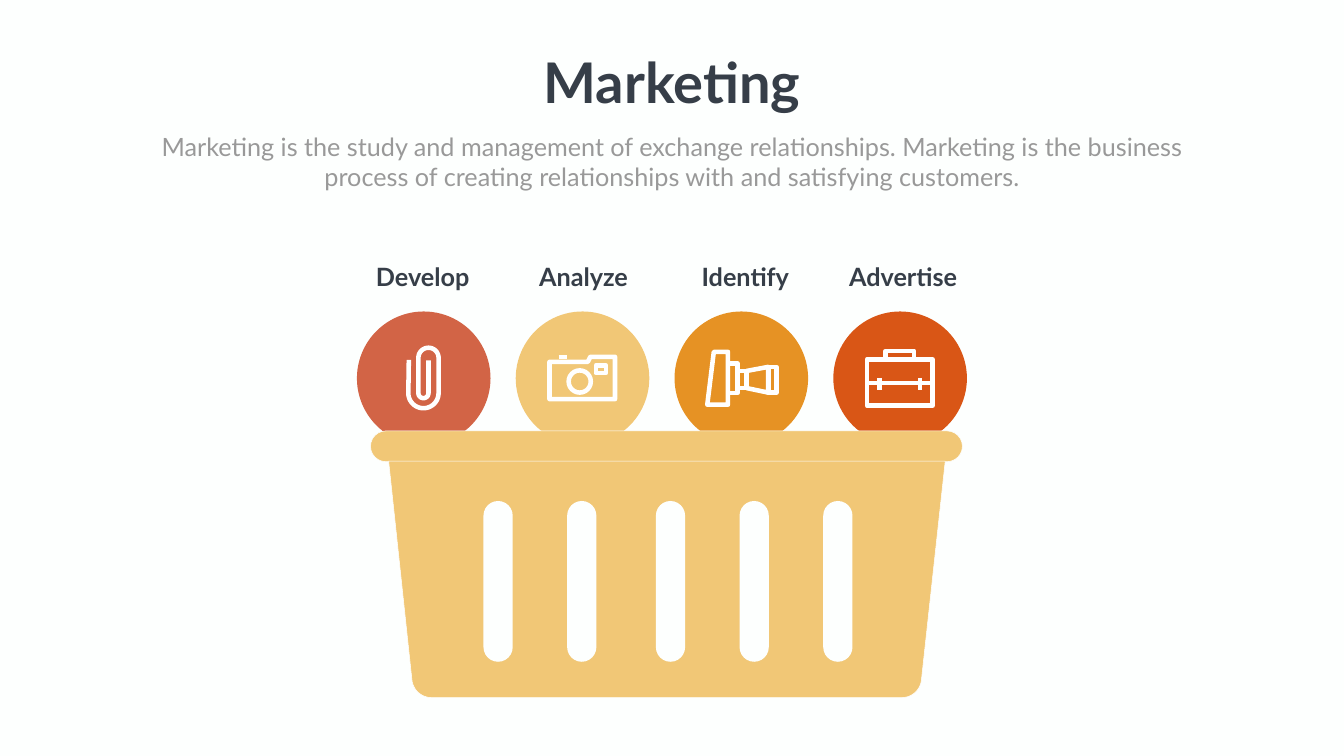
import math
from pptx import Presentation, util as u
from pptx.dml.color import RGBColor
from pptx.enum import shapes as s, text as t

PX = 9144  # 100 px to the inch
PAPER, WHITE, INK, GREY, SAND = "FDFFFE", "FFFFFF", "363E48", "999999", "F1C776"


def rgb(code):
    return RGBColor.from_string(code)


def arc(x, y, r, start, end, steps=24):
    """Points along a circle, in degrees clockwise from the right."""
    turns = [math.radians(start + (end - start) * i / steps) for i in range(steps + 1)]
    return [(x + r * math.cos(a), y + r * math.sin(a)) for a in turns]


def box(x1, y1, x2, y2):
    return [(x1, y1), (x2, y1), (x2, y2), (x1, y2), (x1, y1)]


class Deck:
    font = "Lato"
    stroke = 6.5

    def __init__(self, wide, high):
        self.prs = Presentation()
        self.prs.slide_width, self.prs.slide_height = wide * PX, high * PX
        self.slide = self.prs.slides.add_slide(self.prs.slide_layouts[5])
        self.shapes = self.slide.shapes
        self.slide.background.fill.solid()
        self.slide.background.fill.fore_color.rgb = rgb(PAPER)

    def paint(self, shape, fill=None, line=None, width=0.75):
        shape.shadow.inherit = False
        if fill:
            shape.fill.solid()
            shape.fill.fore_color.rgb = rgb(fill)
        else:
            shape.fill.background()
        if line:
            shape.line.color.rgb = rgb(line)
            shape.line.width = u.Pt(width)
        else:
            shape.line.fill.background()

    def letter(self, shape, words, size, color, bold=False, wrap=True):
        frame = shape.text_frame
        frame.text = words
        frame.word_wrap = wrap
        frame.auto_size = t.MSO_AUTO_SIZE.NONE
        frame.vertical_anchor = t.MSO_ANCHOR.TOP
        para = frame.paragraphs[0]
        para.alignment = t.PP_ALIGN.CENTER
        font = para.font
        font.name, font.size, font.bold = self.font, u.Pt(size), bold
        font.color.rgb = rgb(color)

    def title(self, x, y, w, h, words):
        shape = self.shapes.title
        shape.left, shape.top, shape.width, shape.height = (n * PX for n in (x, y, w, h))
        self.letter(shape, words, 80, INK, True, False)

    def label(self, x, y, w, h, words, color=INK, bold=True):
        shape = self.shapes.add_textbox(x * PX, y * PX, w * PX, h * PX)
        self.letter(shape, words, 36, color, bold)

    def disc(self, x, y, size, fill):
        shape = self.shapes.add_shape(s.MSO_SHAPE.OVAL, x * PX, y * PX, size * PX, size * PX)
        self.paint(shape, fill)

    def pill(self, x, y, w, h, fill, line=None):
        shape = self.shapes.add_shape(
            s.MSO_SHAPE.ROUNDED_RECTANGLE, x * PX, y * PX, w * PX, h * PX)
        shape.adjustments[0] = 0.5
        self.paint(shape, fill, line)

    def outline(self, paths, close=False):
        pen = None
        for path in paths:
            dots = [(round(x * PX), round(y * PX)) for x, y in path]
            if pen is None:
                pen = self.shapes.build_freeform(*dots[0], scale=1.0)
            else:
                pen.move_to(*dots[0])
            pen.add_line_segments(dots[1:], close=close or path[0] == path[-1])
        return pen.convert_to_shape()

    def solid(self, path, fill, line):
        self.paint(self.outline([path], True), fill, line)

    def icon(self, paths):
        shape = self.outline(paths)
        self.paint(shape, None, WHITE, self.stroke)
        shape.line.fill.solid()
        shape.line.fill.fore_color.rgb = rgb(WHITE)


CLIP = [[(811, 714), *arc(840, 780, 30, 180, 0), *arc(850, 710, 20, 0, -180),
         *arc(840, 780, 10, 180, 0), (850, 715)]]
CAMERA = [
    [(1090, 718), (1166, 718), (1171, 708), (1220, 708), (1220, 792), (1090, 792), (1090, 718)],
    [(1108, 708), (1124, 708)],
    box(1182, 725, 1202, 740),
    arc(1150, 757, 22, 0, 360),
]
TORCH = [
    [(1416, 698), (1444, 698), (1444, 803), (1403, 803), (1416, 698)],
    box(1444, 721, 1463, 780),
    box(1463, 736, 1481, 770),
    [(1481, 736), (1524, 728), (1524, 779), (1481, 770), (1481, 736)],
    box(1524, 728, 1540, 779),
]
CASE = [
    box(1720, 713, 1850, 805),
    [(1757, 713), (1757, 696), (1813, 696), (1813, 713)],
    [(1720, 760), (1850, 760)],
    *[[(x, 750), (x, 773)] for x in (1745, 1825)],
]
# Name, label left edge, disc colour, icon
STEPS = [
    ("Develop", 708, "D26446", CLIP),
    ("Analyze", 1027, SAND, CAMERA),
    ("Identify", 1348, "E69224", TORCH),
    ("Advertise", 1661, "D95616", CASE),
]


def main():
    deck = Deck(2666, 1500)

    # Heading
    deck.title(1062, 90, 543, 145, "Marketing")
    deck.label(268, 256, 2130, 131,
               "Marketing is the study and management of exchange relationships. "
               "Marketing is the business process of creating relationships with "
               "and satisfying customers.", GREY, False)

    # Discs, with the basket in front of them
    for i, (_, _, fill, _) in enumerate(STEPS):
        deck.disc(708 + 315 * i, 618, 265, fill)
    deck.pill(735, 855, 1174, 61, SAND, PAPER)
    deck.solid([(771, 915), (1875, 915), *arc(1789, 1345, 39, 5, 90),
                *arc(856, 1345, 39, 90, 175)], SAND, WHITE)
    for x in (959, 1125, 1301, 1467, 1633):
        deck.pill(x, 994, 58, 319, PAPER)

    # Icons and names
    for name, left, _, icon in STEPS:
        deck.icon(icon)
        deck.label(left, 513, 261, 71, name)

    deck.prs.save("out.pptx")


if __name__ == "__main__":
    main()
